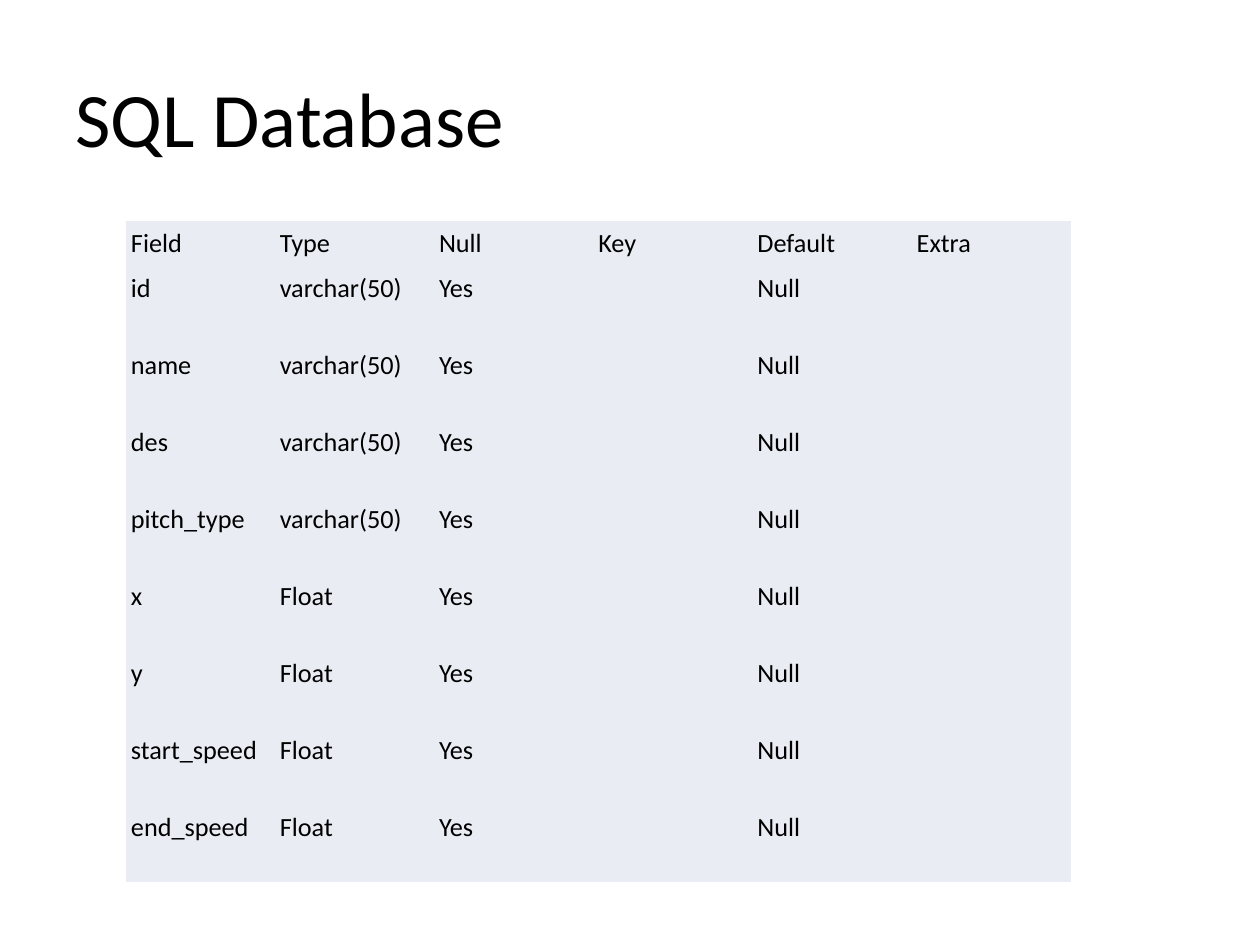
from pptx import Presentation
from pptx.dml.color import RGBColor
from pptx.enum.text import MSO_ANCHOR, PP_ALIGN
from pptx.oxml.ns import qn
from pptx.util import Cm, Pt

LEFT = PP_ALIGN.LEFT
TOP = MSO_ANCHOR.TOP
MIDDLE = MSO_ANCHOR.MIDDLE

BLACK = RGBColor(0x00, 0x00, 0x00)
PALE_BLUE = RGBColor(0xE9, 0xEC, 0xF3)
FONT = "Calibri"
PLAIN_TABLE_STYLE = "{2D5ABB26-0587-4C30-8999-92F81FD0307C}"

TITLE_ONLY_LAYOUT = 5
TITLE_BOX = (Cm(1.27), Cm(0.76), Cm(22.86), Cm(3.18))
SCHEMA_BOX = (Cm(2.54), Cm(4.45), Cm(19.05), Cm(13.34))
FIELD_WIDTH = Cm(3)
HEADER_HEIGHT = Cm(0.91)

HEADERS = ["Field", "Type", "Null", "Key", "Default", "Extra"]
FIELD_TYPES = {
    "id": "varchar(50)",
    "name": "varchar(50)",
    "des": "varchar(50)",
    "pitch_type": "varchar(50)",
    "x": "Float",
    "y": "Float",
    "start_speed": "Float",
    "end_speed": "Float",
}


def format_paragraph(paragraph, size):
    paragraph.alignment = LEFT
    paragraph.font.name = FONT
    paragraph.font.size = Pt(size)
    paragraph.font.color.rgb = BLACK


def place_title(slide, box):
    title = slide.shapes.title
    title.left, title.top, title.width, title.height = box
    title.text_frame.text = "SQL Database"
    title.text_frame.vertical_anchor = MIDDLE
    format_paragraph(title.text_frame.paragraphs[0], 44)


def fill_cell(cell, text):
    cell.fill.solid()
    cell.fill.fore_color.rgb = PALE_BLUE
    cell.margin_left = cell.margin_right = Cm(0.1)
    cell.margin_top = cell.margin_bottom = Cm(0.13)
    cell.vertical_anchor = TOP
    cell.text = text
    format_paragraph(cell.text_frame.paragraphs[0], 15)


def place_schema(slide, box):
    left, top, width, height = box
    records = [HEADERS] + [
        [field, kind, "Yes", "", "Null", ""] for field, kind in FIELD_TYPES.items()
    ]
    frame = slide.shapes.add_table(
        len(records), len(HEADERS), left, top, width, height
    )
    schema = frame.table

    # Plain style: no banding, bold header or borders
    schema.first_row = schema.horz_banding = False
    next(frame.element.iter(qn("a:tableStyleId"))).text = PLAIN_TABLE_STYLE

    # The field column and header row are narrower; the rest share equally
    for index, column in enumerate(schema.columns):
        shared_width = (width - FIELD_WIDTH) // (len(HEADERS) - 1)
        column.width = shared_width if index else FIELD_WIDTH
    for index, row in enumerate(schema.rows):
        shared_height = (height - HEADER_HEIGHT) // len(FIELD_TYPES)
        row.height = shared_height if index else HEADER_HEIGHT

    for row, record in zip(schema.rows, records):
        for cell, text in zip(row.cells, record):
            fill_cell(cell, text)


def main():
    presentation = Presentation()
    presentation.slide_width = Cm(25.4)
    presentation.slide_height = Cm(19.05)
    layout = presentation.slide_layouts[TITLE_ONLY_LAYOUT]
    slide = presentation.slides.add_slide(layout)
    place_title(slide, TITLE_BOX)
    place_schema(slide, SCHEMA_BOX)
    presentation.save("out.pptx")


if __name__ == "__main__":
    main()
